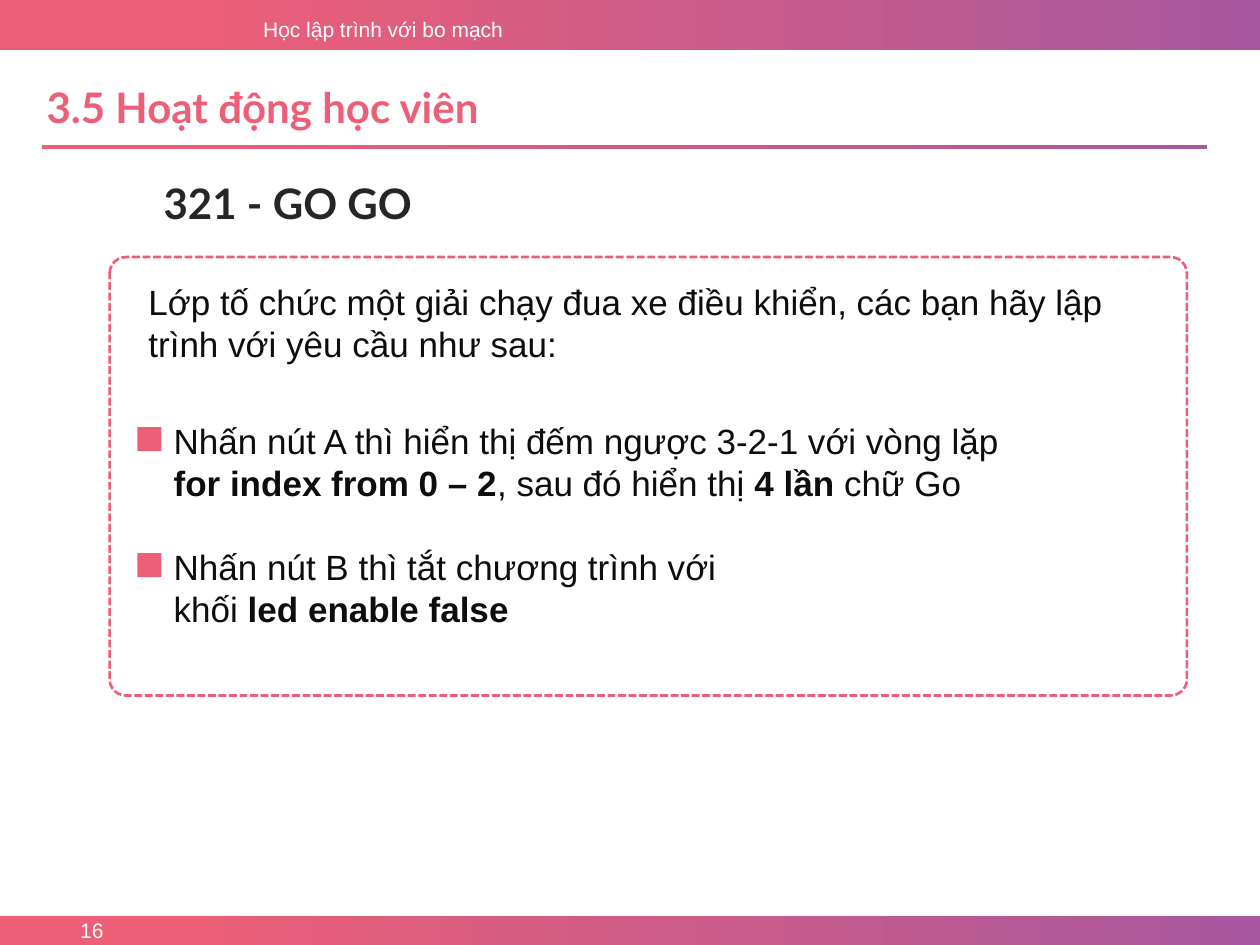
from pptx import Presentation
from pptx.dml.color import RGBColor
from pptx.enum.dml import MSO_LINE
from pptx.enum.shapes import MSO_SHAPE
from pptx.enum.text import MSO_ANCHOR, PP_ALIGN
from pptx.util import Inches, Pt

PINK = RGBColor(0xEC, 0x5F, 0x77)
PURPLE = RGBColor(0xA8, 0x58, 0x9E)
WHITE = RGBColor(0xFF, 0xFF, 0xFF)
CHARCOAL = RGBColor(0x26, 0x26, 0x26)
INK = RGBColor(0x0D, 0x0D, 0x0D)

PAGE_WIDTH, PAGE_HEIGHT = 10, 7.5
HEADER_HEIGHT, FOOTER_HEIGHT = 0.4, 0.23
TASK_PITCH = 1.0

INTRO = ("Lớp tố chức một giải chạy đua xe điều khiển, các bạn hãy lập "
         "trình với yêu cầu như sau:")
# Each task: text width, then (text, bold) spans
TASKS = [
    (7.06, [("Nhấn nút A thì hiển thị đếm ngược 3-2-1 với vòng lặp ", False),
            ("for index from 0 – 2", True),
            (", sau đó hiển thị ", False),
            ("4 lần ", True),
            ("chữ Go", False)]),
    (4.98, [("Nhấn nút B thì tắt chương trình với khối ", False),
            ("led enable false", True)]),
]


def write_text(frame, spans, size=20, font="Arial", color=INK,
               align=PP_ALIGN.LEFT, anchor=MSO_ANCHOR.TOP):
    """Fill a text frame with one paragraph of (text, bold) spans."""
    frame.word_wrap = True
    frame.vertical_anchor = anchor
    para = frame.paragraphs[0]
    para.alignment = align
    for text, bold in spans:
        span = para.add_run()
        span.text = text
        span.font.size = Pt(size)
        span.font.name = font
        span.font.bold = bold
        span.font.color.rgb = color


def add_text(page, left, top, width, height, spans, **style):
    box = page.shapes.add_textbox(Inches(left), Inches(top),
                                  Inches(width), Inches(height))
    write_text(box.text_frame, spans, **style)


def add_block(page, left, top, width, height, kind=MSO_SHAPE.RECTANGLE):
    block = page.shapes.add_shape(kind, Inches(left), Inches(top),
                                  Inches(width), Inches(height))
    block.shadow.inherit = False
    return block


def add_gradient_bar(page, left, top, width, height):
    bar = add_block(page, left, top, width, height)
    bar.line.fill.background()
    bar.fill.gradient()
    bar.fill.gradient_angle = 0
    stops = zip(bar.fill.gradient_stops, (0.15, 1), (PINK, PURPLE))
    for stop, position, color in stops:
        stop.position = position
        stop.color.rgb = color


def add_header(page, left, top, width, height):
    add_gradient_bar(page, left, top, width, height)
    add_text(page, left + 1.99, top + 0.08, 2.25, 0.3,
             [("Học lập trình với bo mạch", False)], size=12, color=WHITE)


def add_footer(page, left, top, width, height):
    add_gradient_bar(page, left, top, width, height)
    add_text(page, left, top, 0.92, height, [("16", False)], size=12,
             color=WHITE, align=PP_ALIGN.RIGHT, anchor=MSO_ANCHOR.MIDDLE)


def add_title(page, left, top, width, height):
    title = page.shapes.title
    title.left, title.top = Inches(left), Inches(top)
    title.width, title.height = Inches(width), Inches(height)
    write_text(title.text_frame, [("3.5 Hoạt động học viên", True)],
               size=24, font="Lato", color=PINK)
    add_gradient_bar(page, left + 0.06, top + 0.55, 9.25, 0.03)


def add_task(page, left, top, width, spans):
    marker = add_block(page, left, top + 0.11, 0.19, 0.19)
    marker.fill.solid()
    marker.fill.fore_color.rgb = PINK
    marker.line.fill.background()
    add_text(page, left + 0.19, top, width, 0.86, spans)


def add_activity(page, left, top, width, height):
    # Dashed frame
    frame = add_block(page, left, top, width, height,
                      MSO_SHAPE.ROUNDED_RECTANGLE)
    frame.adjustments[0] = 0.037
    frame.fill.background()
    frame.line.color.rgb = PINK
    frame.line.width = Pt(1.5)
    frame.line.dash_style = MSO_LINE.SQUARE_DOT

    # Introduction and tasks
    add_text(page, left + 0.21, top + 0.14, 8.07, 1.16, [(INTRO, False)])
    for index, (text_width, spans) in enumerate(TASKS):
        add_task(page, left + 0.22, top + 1.24 + index * TASK_PITCH,
                 text_width, spans)


def main():
    deck = Presentation()
    deck.slide_width = Inches(PAGE_WIDTH)
    deck.slide_height = Inches(PAGE_HEIGHT)
    page = deck.slides.add_slide(deck.slide_layouts[5])

    add_header(page, 0, 0, PAGE_WIDTH, HEADER_HEIGHT)
    add_footer(page, 0, PAGE_HEIGHT - FOOTER_HEIGHT, PAGE_WIDTH, FOOTER_HEIGHT)
    add_title(page, 0.27, 0.6, 8.07, 0.5)
    add_text(page, 1.2, 1.36, 5.31, 0.5, [("321 - GO GO", True)],
             size=24, font="Lato", color=CHARCOAL)
    add_activity(page, 0.87, 2.04, 8.55, 3.48)

    deck.save("out.pptx")


if __name__ == "__main__":
    main()
